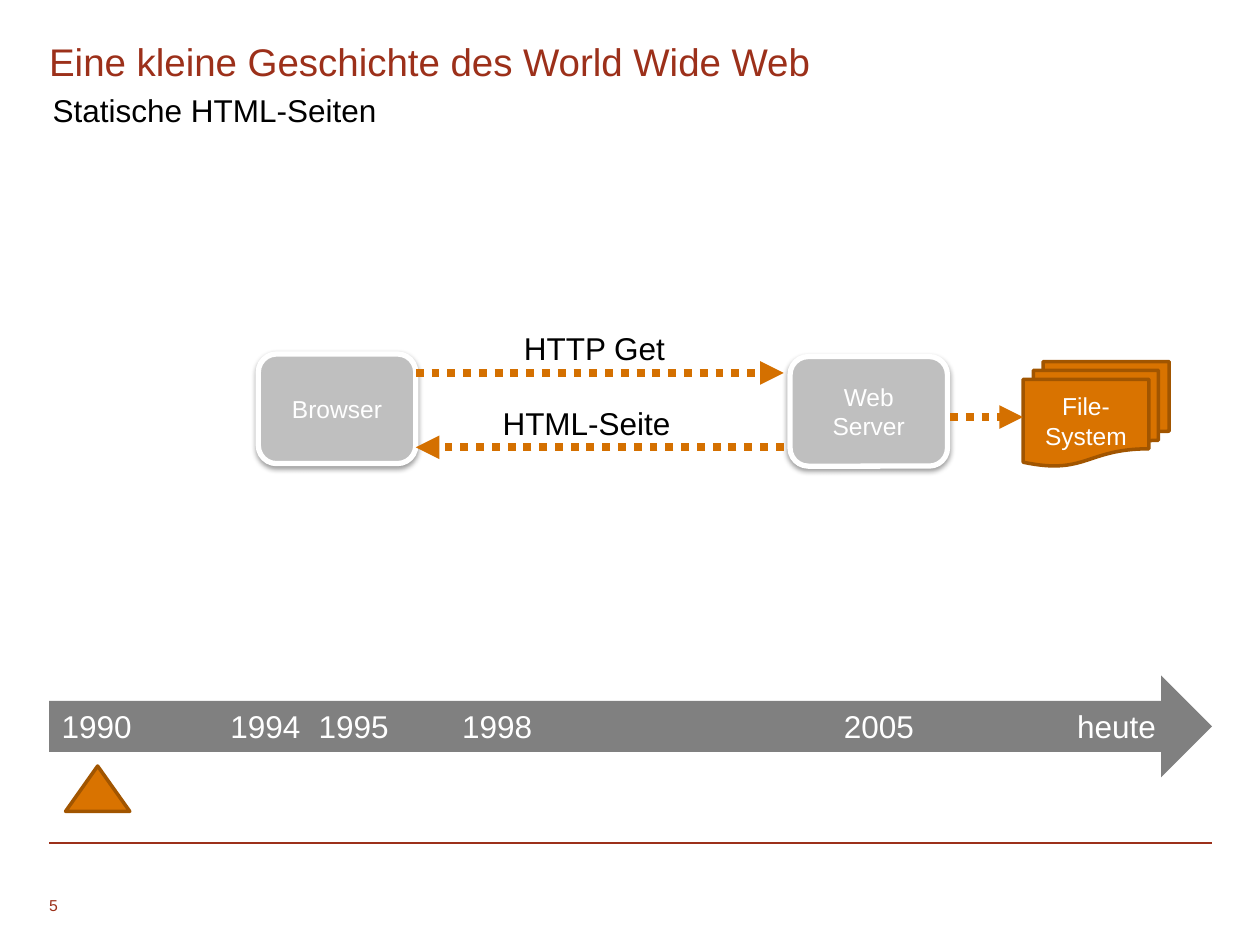
from dataclasses import dataclass
from typing import Optional

from lxml import etree
from pptx import Presentation
from pptx import util as u
from pptx.dml.color import RGBColor
from pptx.enum import dml, shapes, text
from pptx.oxml import ns

RED = RGBColor(0x9C, 0x30, 0x1A)
ORANGE = RGBColor(0xD9, 0x73, 0x00)
BROWN = RGBColor(0xA1, 0x55, 0x00)
AMBER = RGBColor(0xD4, 0x70, 0x00)
GRAY = RGBColor(0x80, 0x80, 0x80)
SILVER = RGBColor(0xBF, 0xBF, 0xBF)
WHITE = RGBColor(0xFF, 0xFF, 0xFF)
BLACK = RGBColor(0x00, 0x00, 0x00)

COLS, ROWS = 100, 75
WIDTH, HEIGHT = u.Inches(10), u.Inches(7.5)
LEFT, SPAN = 3.9, 92.3
KIND = shapes.MSO_SHAPE


@dataclass(frozen=True)
class Area:
    col: float
    row: float
    wide: float
    high: float

    def place(self) -> tuple:
        return col(self.col), row(self.row), col(self.wide), row(self.high)


@dataclass(frozen=True)
class Node:
    kind: int
    area: Area
    fill: RGBColor
    edge: Optional[RGBColor] = None
    weight: float = 0
    words: str = ""
    shade: bool = False


@dataclass(frozen=True)
class Link:
    start: float
    end: float
    row: float


@dataclass(frozen=True)
class Label:
    words: str
    area: Area
    color: RGBColor = BLACK
    size: float = 18
    inset: float = 0.1
    wrap: bool = False


def col(n: float) -> int:
    return round(WIDTH * n / COLS)


def row(n: float) -> int:
    return round(HEIGHT * n / ROWS)


def add(parent, tag: str, **attrs: str):
    return etree.SubElement(parent, ns.qn(tag), attrs)


def write(frame, words: str, *, size: float, color: RGBColor, align=None,
          anchor=text.MSO_ANCHOR.TOP, wrap: bool = True) -> None:
    frame.word_wrap = wrap
    frame.vertical_anchor = anchor
    frame.text = words
    for para in frame.paragraphs:
        para.alignment = align
        para.font.name = "Arial"
        para.font.size = u.Pt(size)
        para.font.color.rgb = color


def draw_node(slide, node: Node) -> None:
    shape = slide.shapes.add_shape(node.kind, *node.area.place())
    shape.shadow.inherit = False
    shape.fill.solid()
    shape.fill.fore_color.rgb = node.fill
    if node.edge is None:
        shape.line.fill.background()
    else:
        shape.line.color.rgb = node.edge
        shape.line.width = u.Pt(node.weight)
    if node.shade:
        glow = add(shape._element.spPr.find(ns.qn("a:effectLst")), "a:outerShdw",
                   blurRad=str(u.Pt(3.1)), dist=str(u.Pt(1.6)),
                   dir="5400000", rotWithShape="0")
        add(add(glow, "a:srgbClr", val=str(BLACK)), "a:alpha", val="38000")
    if node.words:
        write(shape.text_frame, node.words, size=14, color=WHITE,
              align=text.PP_ALIGN.CENTER, anchor=text.MSO_ANCHOR.MIDDLE)


def draw_line(slide, link: Link, color: RGBColor, weight: float,
              arrow: bool = False) -> None:
    line = slide.shapes.add_connector(
        shapes.MSO_CONNECTOR.STRAIGHT,
        col(link.start), row(link.row), col(link.end), row(link.row))
    line.line.color.rgb = color
    line.line.width = u.Pt(weight)
    if arrow:
        line.line.dash_style = dml.MSO_LINE.ROUND_DOT
        add(line.line._get_or_add_ln(), "a:tailEnd", type="triangle")
    add(line._element.spPr, "a:effectLst")


def draw_label(slide, label: Label) -> None:
    frame = slide.shapes.add_textbox(*label.area.place()).text_frame
    if label.inset == 0:
        frame.margin_left = frame.margin_right = 0
        frame.margin_top = frame.margin_bottom = 0
    write(frame, label.words, size=label.size, color=label.color, wrap=label.wrap)


NODES = [
    Node(KIND.RIGHT_ARROW, Area(LEFT, 53.6, SPAN, 8.1), GRAY),
    Node(KIND.ROUNDED_RECTANGLE, Area(20.5, 28.1, 12.5, 8.7), SILVER, WHITE, 3,
         "Browser", True),
    Node(KIND.ROUNDED_RECTANGLE, Area(62.7, 28.3, 12.5, 8.7), SILVER, WHITE, 3,
         "Web Server", True),
    Node(KIND.ISOSCELES_TRIANGLE, Area(5.2, 60.8, 5.1, 3.6), ORANGE, BROWN, 2),
    Node(KIND.FLOWCHART_MULTIDOCUMENT, Area(81.2, 28.7, 11.6, 8.3), ORANGE, BROWN, 2,
         "File-\nSystem"),
]
LINKS = [Link(33, 62.2, 29.6), Link(62.2, 33, 35.5), Link(75.4, 81.2, 33.1)]
LABELS = [
    Label("Eine kleine Geschichte des World Wide Web", Area(LEFT, 3, SPAN, 11.1),
          RED, 22, 0, True),
    Label("Statische HTML-Seiten", Area(3.2, 6.7, 28, 4)),
    Label("HTTP Get", Area(40.6, 25.6, 13.3, 4)),
    Label("HTML-Seite", Area(38.9, 31.6, 15.5, 4)),
    Label("5", Area(LEFT, 71.1, 2.5, 1.5), RED, 9, 0),
]
YEARS = {"1990": 3.9, "1994": 17.3, "1995": 24.3, "1998": 35.7, "2005": 66, "heute": 84.5}


def main() -> None:
    deck = Presentation()
    deck.slide_width, deck.slide_height = WIDTH, HEIGHT
    slide = deck.slides.add_slide(deck.slide_layouts[6])
    draw_line(slide, Link(LEFT, LEFT + SPAN, 66.9), RED, 0.75)
    for node in NODES:
        draw_node(slide, node)
    for link in LINKS:
        draw_line(slide, link, AMBER, 4.5, arrow=True)
    for label in LABELS:
        draw_label(slide, label)
    for year, left in YEARS.items():
        wide = 7.6 if year.isdigit() else 8.3
        draw_label(slide, Label(year, Area(left, 55.6, wide, 4), WHITE))
    deck.save("out.pptx")


if __name__ == "__main__":
    main()
